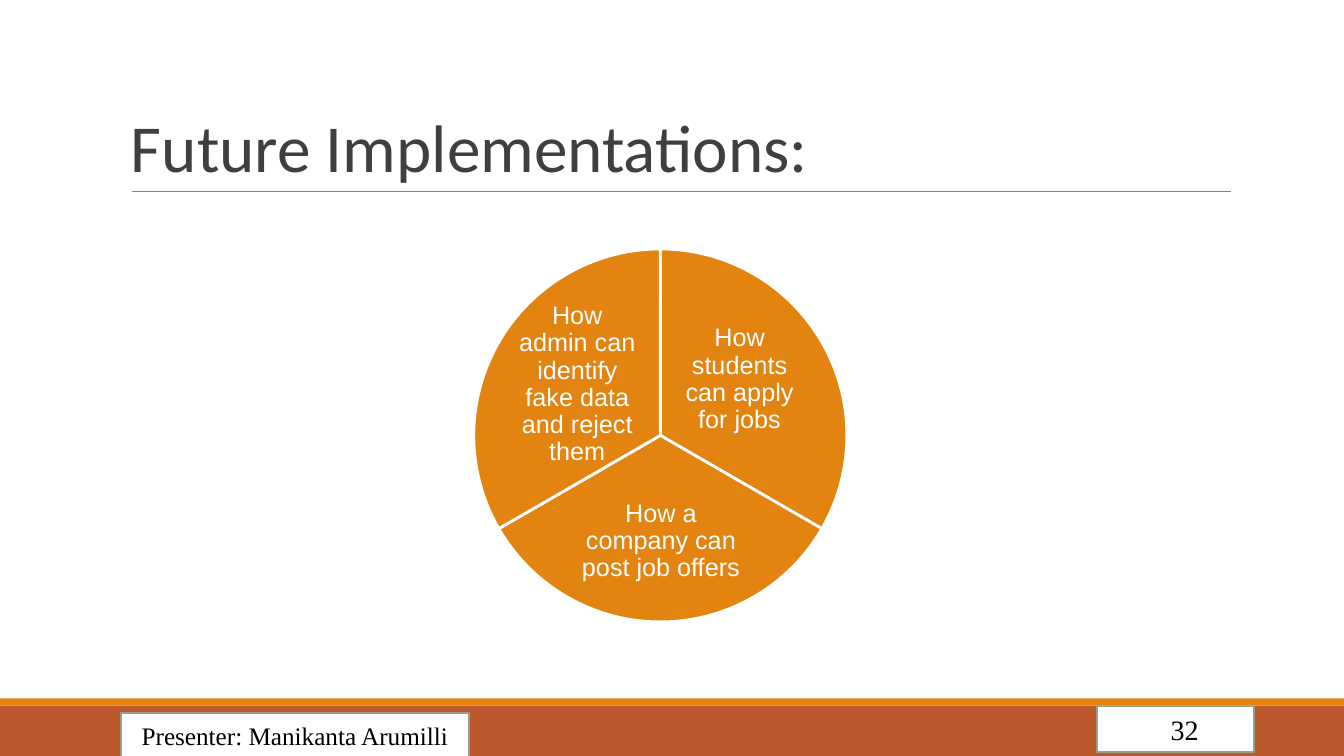
import pptx
import pptx.dml.color
import pptx.enum.shapes
import pptx.enum.text
import pptx.util
from lxml import etree

Inches = pptx.util.Inches
Pt = pptx.util.Pt
RGBColor = pptx.dml.color.RGBColor
Shape = pptx.enum.shapes.MSO_SHAPE
Align = pptx.enum.text.PP_ALIGN
Anchor = pptx.enum.text.MSO_ANCHOR

WHITE = RGBColor(0xFF, 0xFF, 0xFF)
BLACK = RGBColor(0x00, 0x00, 0x00)
TITLE_GREY = RGBColor(0x3F, 0x3F, 0x3F)
RULE_GREY = RGBColor(0x7F, 0x7F, 0x7F)
LABEL_EDGE = RGBColor(0x94, 0xA0, 0x88)
RUST = RGBColor(0xBD, 0x58, 0x2C)
ORANGE = RGBColor(0xE4, 0x83, 0x12)
SECTOR_ORANGE = RGBColor(0xE3, 0x83, 0x10)

PIE_BOX = (4.7, 2.47, 3.7, 3.7)
SECTORS = [
    ("How students can apply for jobs", (6.71, 3.15, 1.25, 1.23)),
    ("How a company can post job offers", (5.72, 4.8, 1.67, 1.14)),
    ("How admin can identify fake data and reject them", (5.1, 3.2, 1.25, 1.23)),
]


def write_text(shape, text, font="Arial", size=18, color=BLACK, align=Align.CENTER,
               anchor=Anchor.MIDDLE, spacing=1.0, margins=(0.1, 0.05, 0.1, 0.05)):
    frame = shape.text_frame
    frame.word_wrap = True
    frame.vertical_anchor = anchor
    frame.margin_left, frame.margin_top, frame.margin_right, frame.margin_bottom = map(Inches, margins)
    paragraph = frame.paragraphs[0]
    paragraph.alignment = align
    paragraph.line_spacing = spacing
    run = paragraph.add_run()
    run.text = text
    run.font.name = font
    run.font.size = Pt(size)
    run.font.color.rgb = color


class SlideBuilder:
    """Draws styled elements on the current slide."""

    def __init__(self, slide):
        self.slide = slide

    def shape(self, kind, box, fill, line=None, width=1.25):
        shape = self.slide.shapes.add_shape(kind, *map(Inches, box))
        shape.shadow.inherit = False
        shape.fill.solid()
        shape.fill.fore_color.rgb = fill
        if line is None:
            shape.line.fill.background()
        else:
            shape.line.color.rgb = line
            shape.line.width = Pt(width)
        return shape

    def text(self, box, text, **text_format):
        write_text(self.slide.shapes.add_textbox(*map(Inches, box)), text, **text_format)

    def label(self, box, text, **text_format):
        shape = self.shape(Shape.RECTANGLE, box, WHITE, LABEL_EDGE)
        write_text(shape, text, font="Times New Roman", **text_format)

    def sector(self, start, end):
        sector = self.shape(Shape.PIE, PIE_BOX, SECTOR_ORANGE, WHITE, 2)
        for index, degrees in enumerate((start, end)):
            sector.adjustments[index] = degrees * 0.6

    def rule(self, left, right, top):
        connector = self.slide.shapes.add_connector(
            pptx.enum.shapes.MSO_CONNECTOR.STRAIGHT,
            Inches(left), Inches(top), Inches(right), Inches(top))
        connector.line.color.rgb = RULE_GREY
        connector.line.width = Pt(0.75)
        etree.SubElement(connector._element.spPr, pptx.oxml.ns.qn("a:effectLst"))


def main():
    presentation = pptx.Presentation()
    presentation.slide_width = Inches(13.33)
    presentation.slide_height = Inches(7.5)
    builder = SlideBuilder(presentation.slides.add_slide(presentation.slide_layouts[6]))

    builder.shape(Shape.RECTANGLE, (0, 7, 13.33, 0.5), RUST)
    builder.shape(Shape.RECTANGLE, (0, 6.93, 13.33, 0.07), ORANGE)
    builder.rule(1.31, 12.21, 1.9)
    builder.text((1.2, -0.22, 11, 2.12), "Future Implementations:", font="Calibri", size=48,
                 color=TITLE_GREY, align=Align.LEFT, anchor=Anchor.BOTTOM, spacing=0.85)
    builder.label((1.2, 7.07, 3.45, 0.45), "Presenter: Manikanta Arumilli")

    for index, (text, box) in enumerate(SECTORS):
        start = (270 + 120 * index) % 360
        builder.sector(start, (start + 120) % 360)
        builder.text(box, text, color=WHITE, spacing=0.9, margins=(0.02,) * 4)

    builder.label((10.88, 7.01, 1.56, 0.45), "32", size=20, align=Align.LEFT,
                  margins=(0.73, 0.05, 0.1, 0.05))
    presentation.save("out.pptx")


if __name__ == "__main__":
    main()
